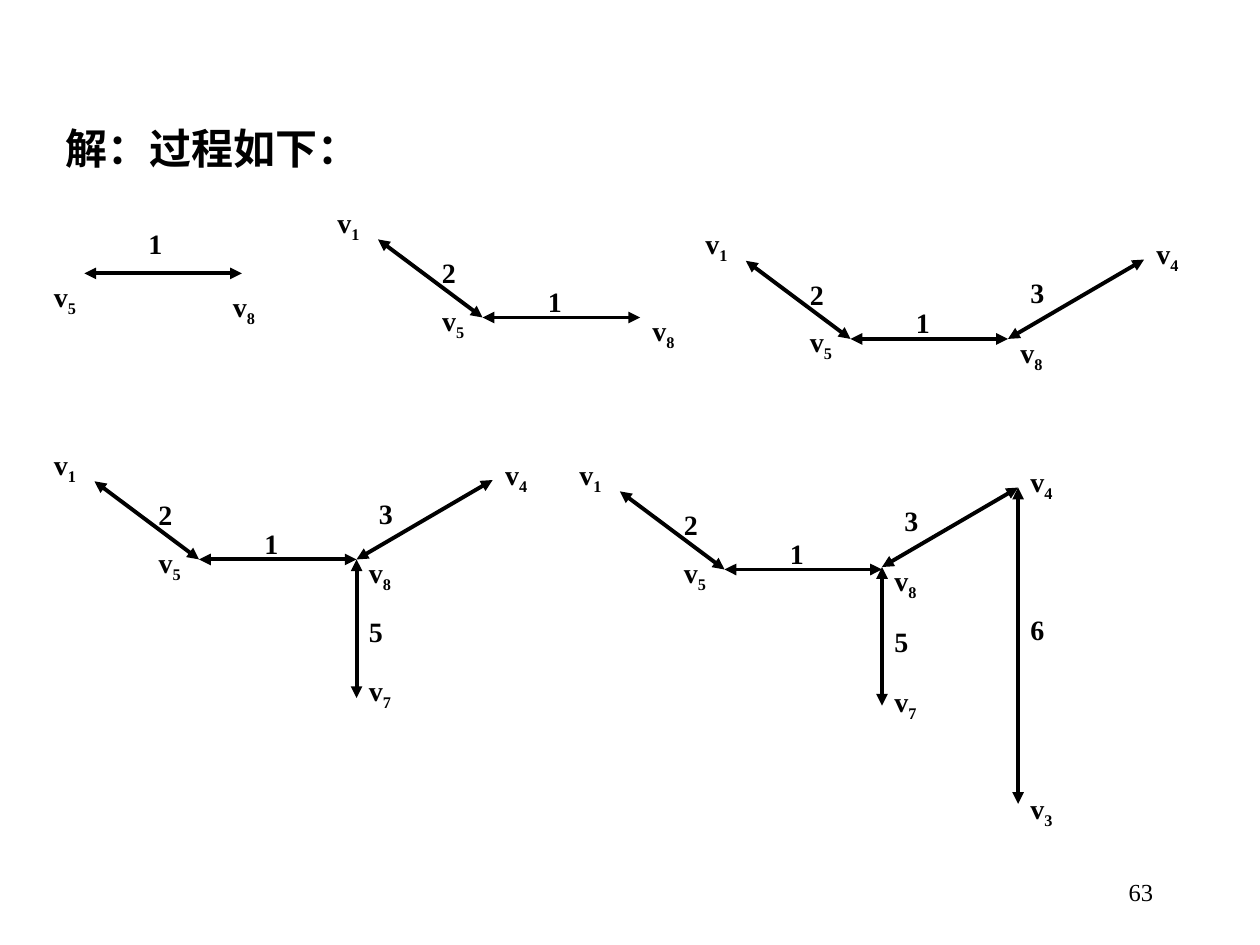
from lxml import etree
from pptx import Presentation
from pptx.dml.color import RGBColor
from pptx.enum.shapes import MSO_CONNECTOR
from pptx.enum.text import MSO_ANCHOR, MSO_AUTO_SIZE, PP_ALIGN
from pptx.oxml.ns import qn
from pptx.util import Inches, Pt

LINE = MSO_CONNECTOR.STRAIGHT
TOP, MIDDLE = MSO_ANCHOR.TOP, MSO_ANCHOR.MIDDLE
LEFT, RIGHT = PP_ALIGN.LEFT, PP_ALIGN.RIGHT
NO_FIT = MSO_AUTO_SIZE.NONE
FONT = "Times New Roman"
BLACK = "000000"

# Offsets from node v5, in inches: arrows by weight, then label corners
EDGES = {
    "1": ((0, 0), (1.25, 0)),
    "2": ((-0.83, -0.62), (0, 0)),
    "3": ((2.33, -0.63), (1.25, 0)),
    "5": ((1.25, 0), (1.25, 1.1)),
    "6": ((2.33, -0.63), (2.33, 1.88)),
}
MARKS = {
    "1": (0.42, -0.31), "2": (-0.42, -0.54), "3": (1.33, -0.55),
    "5": (1.25, 0.39), "6": (2.33, 0.29),
    "v1": (-1.25, -0.94), "v3": (2.33, 1.71), "v4": (2.33, -0.86),
    "v5": (-0.42, -0.16), "v7": (1.25, 0.86), "v8": (1.25, -0.08),
}
# The first tree has one arrow only, with its labels placed around it
FIRST = {"1": (0.41, -0.42), "v5": (-0.34, 0), "v8": (1.08, 0.08)}
# In the last tree the right-hand branch sits slightly higher
LIFT = 0.02
LIFTED_EDGES = ("3", "5", "6")
LIFTED_MARKS = ("3", "v4", "v8")

# Place of v5, weights, nodes
TREES = [
    ((0.67, 2.17), "1", "58"),
    ((3.83, 2.52), "12", "158"),
    ((6.75, 2.69), "123", "1458"),
    ((1.58, 4.44), "1235", "14578"),
    ((5.75, 4.52), "12356", "134578"),
]


def color(code):
    return RGBColor.from_string(code)


def write(box, text, sub="", size=16, bold=True, align=LEFT, anchor=TOP):
    frame = box.text_frame
    frame.word_wrap = True
    frame.auto_size = NO_FIT
    frame.vertical_anchor = anchor
    para = frame.paragraphs[0]
    para.alignment = align
    for part in filter(None, (text, sub)):
        run = para.add_run()
        run.text = part
        run.font.name = FONT
        run.font.size = Pt(size)
        run.font.bold = bold
        run.font.color.rgb = color(BLACK)
    if sub:
        run.font._element.set("baseline", "-25000")


def add_text(shapes, x, y, w, h, text, **style):
    box = shapes.add_textbox(Inches(x), Inches(y), Inches(w), Inches(h))
    write(box, text, **style)


def add_arrow(shapes, start, end):
    arrow = shapes.add_connector(LINE, *map(Inches, start + end))
    arrow.line.width = Pt(2.25)
    arrow.line.color.rgb = color(BLACK)
    line = arrow.line._get_or_add_ln()
    for tip in ("a:headEnd", "a:tailEnd"):
        etree.SubElement(line, qn(tip), type="triangle")
    etree.SubElement(arrow._element.spPr, qn("a:effectLst"))


def add_tree(slide, place, weights, nodes, marks, lift):
    shapes = slide.shapes.add_group_shape().shapes
    x, y = place
    for key in weights:
        rise = lift if key in LIFTED_EDGES else 0
        start, end = [(x + dx, y + dy - rise) for dx, dy in EDGES[key]]
        add_arrow(shapes, start, end)
    for key in [*weights, *("v" + node for node in nodes)]:
        dx, dy = marks[key]
        rise = lift if key in LIFTED_MARKS else 0
        width, height = (0.43, 0.37) if key in weights else (0.52, 0.41)
        add_text(shapes, x + dx, y + dy - rise, width, height,
                 key[0], sub=key[1:])


def main():
    deck = Presentation()
    deck.slide_width, deck.slide_height = Inches(10), Inches(7.5)
    slide = deck.slides.add_slide(deck.slide_layouts[5])

    # Heading
    title = slide.shapes.title
    title.left, title.top = Inches(0.42), Inches(0.92)
    title.width, title.height = Inches(8.25), Inches(0.5)
    write(title, "解：过程如下：", size=24)

    # Growth of the tree, step by step
    for step, (place, weights, nodes) in enumerate(TREES):
        marks = FIRST if step == 0 else MARKS
        lift = LIFT if step == len(TREES) - 1 else 0
        add_tree(slide, place, weights, nodes, marks, lift)

    # Page number
    add_text(slide.shapes, 7.17, 6.83, 2.08, 0.5, "63", size=14,
             bold=False, align=RIGHT, anchor=MIDDLE)
    deck.save("out.pptx")


if __name__ == "__main__":
    main()
